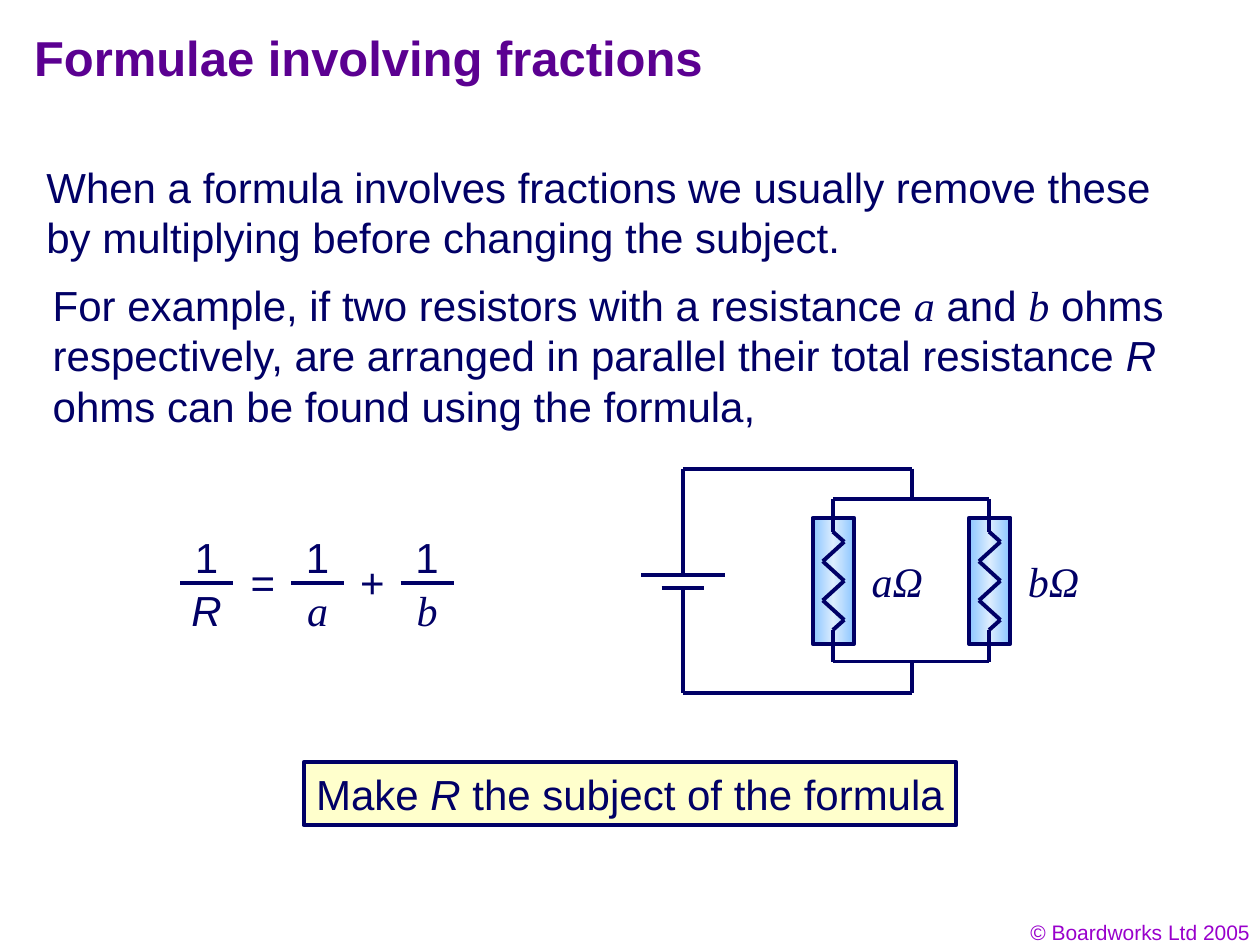
from copy import deepcopy
from dataclasses import dataclass
from itertools import pairwise

from lxml.etree import SubElement
from pptx import Presentation
from pptx.dml.color import RGBColor
from pptx.enum.shapes import MSO_CONNECTOR, MSO_SHAPE
from pptx.enum.text import MSO_ANCHOR, MSO_AUTO_SIZE, PP_ALIGN
from pptx.oxml.ns import qn
from pptx.util import Inches, Pt

COLUMNS, ROWS = 10, 7.5
UNIT = Inches(1)


@dataclass(frozen=True)
class Theme:
    """Colours, fonts and sizes of the slide."""
    title: str = "5B0091"
    text: str = "010066"
    line: str = "000066"
    footer: str = "9900CC"
    panel: str = "FFFFCC"
    resistor_edge: str = "8BC5FF"
    resistor_middle: str = "DCEDFE"
    sans: str = "Arial"
    serif: str = "Times New Roman"
    title_size: int = 28
    text_size: int = 24
    footer_size: int = 12
    line_width: float = 2.25
    leading: float = 1.2


THEME = Theme()


def grid(*lengths):
    """Turn columns and rows into slide lengths."""
    return [round(length * UNIT) for length in lengths]


def sans(text):
    """Describe upright sans text."""
    return text, THEME.sans, False


def slanted(text):
    """Describe italic sans text."""
    return text, THEME.sans, True


def symbol(text):
    """Describe italic serif text."""
    return text, THEME.serif, True


def write(box, *spans, size=THEME.text_size, color=THEME.text, bold=False,
          align=PP_ALIGN.LEFT, wrap=True):
    """Fill a shape with one paragraph of formatted spans."""
    frame = box.text_frame
    frame.word_wrap = wrap
    frame.auto_size = MSO_AUTO_SIZE.NONE
    frame.vertical_anchor = MSO_ANCHOR.TOP
    para = frame.paragraphs[0]
    para.alignment = align
    para.line_spacing = Pt(size * THEME.leading)
    for text, name, italic in spans:
        span = para.add_run()
        span.text = text
        font = span.font
        font.name, font.size = name, Pt(size)
        font.bold, font.italic = bold, italic
        font.color.rgb = RGBColor.from_string(color)


def add_text(page, area, *spans, **style):
    """Add a text box."""
    write(page.shapes.add_textbox(*grid(*area)), *spans, **style)


def outline(shape):
    """Give a shape or connector the slide's line."""
    shape.line.color.rgb = RGBColor.from_string(THEME.line)
    shape.line.width = Pt(THEME.line_width)


def add_wire(page, *points):
    """Join successive points with straight lines."""
    for start, end in pairwise(points):
        wire = page.shapes.add_connector(MSO_CONNECTOR.STRAIGHT, *grid(*start, *end))
        outline(wire)
        SubElement(wire._element.spPr, qn("a:effectLst"))


def add_panel(page, area):
    """Add an outlined rectangle."""
    panel = page.shapes.add_shape(MSO_SHAPE.RECTANGLE, *grid(*area))
    panel.shadow.inherit = False
    outline(panel)
    return panel


def add_fraction(page, center, bottom):
    """Add one over a letter, centred on a column."""
    add_text(page, (center - 0.19, 4.17, 0.38, 0.5), sans("1"),
             align=PP_ALIGN.CENTER, wrap=False)
    add_wire(page, (center - 0.21, 4.63), (center + 0.21, 4.63))
    add_text(page, (center - 0.22, 4.59, 0.44, 0.5), bottom,
             align=PP_ALIGN.CENTER, wrap=False)


def add_formula(page):
    """Add the parallel resistance formula."""
    for center, bottom in ((1.64, slanted("R")), (2.52, symbol("a")), (3.39, symbol("b"))):
        add_fraction(page, center, bottom)
    for left, sign in ((1.89, "="), (2.76, "+")):
        add_text(page, (left, 4.37, 0.39, 0.5), sans(sign), wrap=False)


def add_resistor(page, center, label):
    """Add a resistor with its leads, zigzag and label."""
    body = add_panel(page, (center - 0.16, 4.11, 0.33, 1))
    body.fill.gradient()
    body.fill.gradient_angle = 0
    first = body._element.spPr.find(".//" + qn("a:gs"))
    first.addnext(deepcopy(first))
    colors = THEME.resistor_edge, THEME.resistor_middle, THEME.resistor_edge
    for stop, position, color in zip(body.fill.gradient_stops, (0, 0.5, 1), colors):
        stop.position = position
        stop.color.rgb = RGBColor.from_string(color)
    bends = [(center + (0.09, -0.08)[turn % 2], 4.3 + 0.155 * turn) for turn in range(5)]
    add_wire(page, (center, 3.96), (center, 4.22), *bends, (center, 5), (center, 5.25))
    add_text(page, (center + 0.21, 4.36, 0.61, 0.5), symbol(label), wrap=False)


def add_circuit(page):
    """Add the battery, the wires and two resistors in parallel."""
    battery, junction, left, right = 5.42, 7.24, 6.61, 7.85
    for plate, outer, inner, half in ((4.56, 3.72, 3.96, 0.33), (4.67, 5.5, 5.25, 0.17)):
        add_wire(page, (battery - half, plate), (battery + half, plate))
        add_wire(page, (battery, plate), (battery, outer), (junction, outer), (junction, inner))
        add_wire(page, (left, inner), (right, inner))
    add_resistor(page, left, "aΩ")
    add_resistor(page, right, "bΩ")


def add_title(page, text):
    """Place and format the title placeholder."""
    title = page.shapes.title
    title.left, title.top, title.width, title.height = grid(0.17, 0.17, 8.14, 0.54)
    write(title, sans(text), size=THEME.title_size, color=THEME.title, bold=True)


def add_task(page):
    """Add the framed task."""
    task = add_panel(page, (2.41, 6.05, 5.18, 0.5))
    task.fill.solid()
    task.fill.fore_color.rgb = RGBColor.from_string(THEME.panel)
    write(task, sans("Make "), slanted("R"), sans(" the subject of the formula"), wrap=False)


def main():
    """Build and save the slide."""
    deck = Presentation()
    deck.slide_width, deck.slide_height = grid(COLUMNS, ROWS)
    page = deck.slides.add_slide(deck.slide_layouts.get_by_name("Title Only"))
    add_text(page, (7.69, 7.25, 2.33, 0.3), sans("© Boardworks Ltd 2005"),
             size=THEME.footer_size, color=THEME.footer, align=PP_ALIGN.RIGHT)
    add_title(page, "Formulae involving fractions")
    add_text(page, (0.27, 1.23, 9.39, 0.9), sans(
        "When a formula involves fractions we usually remove these "
        "by multiplying before changing the subject."))
    add_task(page)
    add_text(page, (0.32, 2.17, 9.52, 1.3),
             sans("For example, if two resistors with a resistance "), symbol("a"),
             sans(" and "), symbol("b"),
             sans(" ohms respectively, are arranged in parallel their total resistance "),
             slanted("R"), sans(" ohms can be found using the formula,"))
    add_formula(page)
    add_circuit(page)
    deck.save("out.pptx")


if __name__ == "__main__":
    main()
